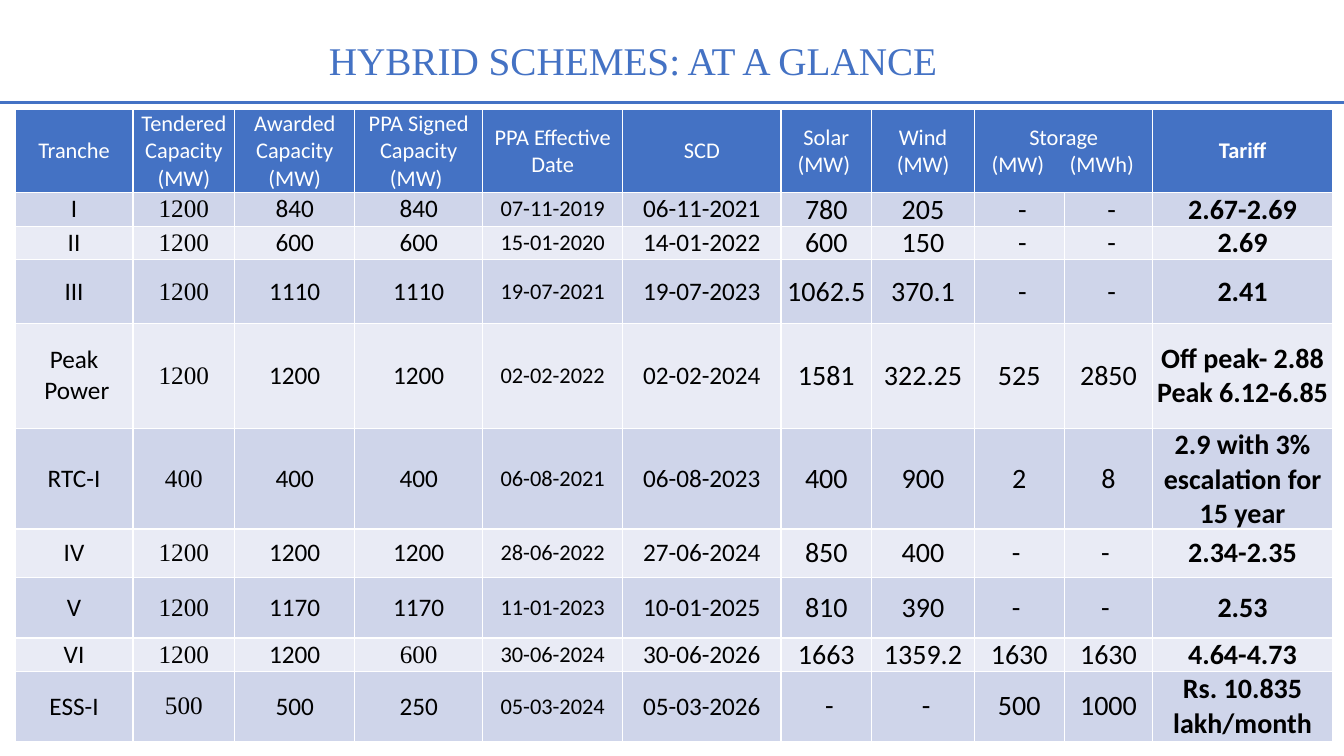
"""Build the slide with the hybrid scheme tranches as one table."""
from lxml import etree
from pptx import Presentation
from pptx.dml.color import RGBColor
from pptx.enum.shapes import MSO_CONNECTOR as CONN
from pptx.enum.text import MSO_ANCHOR as ANCHOR, MSO_AUTO_SIZE as AUTO, PP_ALIGN as ALIGN
from pptx.oxml.ns import qn
from pptx.util import Pt

BLUE = RGBColor(0x44, 0x72, 0xC4)
WHITE = RGBColor(0xFF, 0xFF, 0xFF)
BLACK = RGBColor(0, 0, 0)
BANDS = RGBColor(0xCF, 0xD5, 0xEA), RGBColor(0xE9, 0xEB, 0xF5)
SANS, SERIF = "Calibri", "Times New Roman"

COL_WIDTHS = [84.2, 72.7, 85.7, 91.4, 100.1, 113, 64.8, 73.4, 64.1, 63.4, 128.2]
ROW_HEIGHTS = [59, 23, 23, 45.4, 74.9, 61.2, 34.6, 43.2, 23, 49.7]
COL_SIZES = [18] * 4 + [16, 18] + [20] * 5
TENDERED, SIGNED, STORAGE, TARIFF = 1, 3, 8, 10
STORAGE_TABS = [31, 91]
PADDED = ["Tranche", "PPA Effective Date"]

HEADER = ["Tranche", "Tendered Capacity\n(MW)", "Awarded Capacity (MW)",
          "PPA Signed Capacity (MW) ", "PPA Effective Date", "SCD", "Solar\n(MW) ",
          "Wind\n(MW)", "Storage\n\t(MW)\t(MWh)", "", "Tariff"]
TRANCHES = [
    ["I", "1200", "840", "840", "07-11-2019", "06-11-2021", "780", "205", " -", " -", "2.67-2.69"],
    ["II", "1200", "600", "600", "15-01-2020", "14-01-2022", "600", "150", " -", " -", "2.69"],
    ["III", "1200", "1110", "1110", "19-07-2021", "19-07-2023", "1062.5", "370.1", " -", " -",
     "2.41"],
    ["Peak\n Power", "1200", "1200", "1200", "02-02-2022", "02-02-2024", "1581", "322.25", "525",
     "2850", "Off peak- 2.88\nPeak 6.12-6.85"],
    ["RTC-I", "400", "400", "400", "06-08-2021", "06-08-2023", "400", "900", "2", "8",
     "2.9 with 3% escalation for 15 year"],
    ["IV", "1200", "1200", "1200", "28-06-2022", "27-06-2024", "850", "400", "- ", "- ",
     "2.34-2.35"],
    ["V", "1200", "1170", "1170", "11-01-2023", "10-01-2025", "810", "390", "- ", "- ", "2.53"],
    ["VI", "1200", "1200", "600", "30-06-2024", "30-06-2026", "1663", "1359.2", "1630", "1630",
     "4.64-4.73"],
    ["ESS-I", "500", "500", "250", "05-03-2024", "05-03-2026", " -", " -", "500", "1000",
     "Rs. 10.835 lakh/month"],
]


def write(tf, text, size=16, font=SANS, color=BLACK, bold=False, tabs=()):
    """Fill a text frame with centred paragraphs, or tabbed ones where a line holds tabs."""
    for i, line in enumerate(text.split("\n")):
        p = tf.add_paragraph() if i else tf.paragraphs[0]
        p.alignment = ALIGN.CENTER
        if "\t" in line:
            p.alignment = ALIGN.LEFT
            tab_list = etree.SubElement(p._p.get_or_add_pPr(), qn("a:tabLst"))
            for pos in tabs:
                etree.SubElement(tab_list, qn("a:tab"), pos=str(Pt(pos)), algn="ctr")
        r = p.add_run()
        r.text = line
        r.font.size, r.font.name, r.font.bold = Pt(size), font, bold
        r.font.color.rgb = color


class Deck:
    """Hold the presentation, its current slide and the table style."""

    def __init__(self):
        self.prs = Presentation()
        self.prs.slide_width, self.prs.slide_height = Pt(960), Pt(540)
        self.s = self.prs.slides.add_slide(self.prs.slide_layouts[6])

    def rule(self, y, color, width):
        """Draw a horizontal line across the slide."""
        line = self.s.shapes.add_connector(CONN.STRAIGHT, 0, Pt(y), self.prs.slide_width, Pt(y))
        line.line.color.rgb, line.line.width = color, Pt(width)
        etree.SubElement(line._element.spPr, qn("a:effectLst"))

    def title(self, text, x, y, w, h):
        """Add the heading box."""
        tf = self.s.shapes.add_textbox(Pt(x), Pt(y), Pt(w), Pt(h)).text_frame
        tf.word_wrap, tf.auto_size = True, AUTO.SHAPE_TO_FIT_TEXT
        write(tf, text, size=28, font=SERIF, color=BLUE)

    def cell(self, cell, text, fill, **fmt):
        """Fill and format one table cell."""
        cell.fill.solid()
        cell.fill.fore_color.rgb = fill
        cell.vertical_anchor = ANCHOR.MIDDLE
        if text not in PADDED:
            cell.margin_left = cell.margin_right = cell.margin_top = cell.margin_bottom = 0
        if text:
            write(cell.text_frame, text, **fmt)

    def table(self, x, y):
        """Add the table of tranches with its merged storage heading."""
        tbl = self.s.shapes.add_table(len(ROW_HEIGHTS), len(COL_WIDTHS), Pt(x), Pt(y),
                                      Pt(sum(COL_WIDTHS)), Pt(sum(ROW_HEIGHTS))).table
        for col, w in zip(tbl.columns, COL_WIDTHS):
            col.width = Pt(w)
        for row, h in zip(tbl.rows, ROW_HEIGHTS):
            row.height = Pt(h)
        tbl.cell(0, STORAGE).merge(tbl.cell(0, STORAGE + 1))
        for j, text in enumerate(HEADER):
            self.cell(tbl.cell(0, j), text, BLUE, color=WHITE, bold=j == TARIFF,
                      tabs=STORAGE_TABS)
        for i, values in enumerate(TRANCHES):
            for j, text in enumerate(values):
                serif = j == TENDERED or (values[0] == "VI" and j == SIGNED)
                self.cell(tbl.cell(i + 1, j), text, BANDS[i % 2], size=COL_SIZES[j],
                          font=SERIF if serif else SANS, bold=j == TARIFF)


def main():
    """Build and save the slide."""
    deck = Deck()
    deck.rule(73.4, BLUE, 2.25)
    deck.title("HYBRID SCHEMES: AT A GLANCE", 10.8, 22.3, 882.7, 41)
    deck.table(10.8, 78.5)
    deck.prs.save("out.pptx")


if __name__ == "__main__":
    main()
